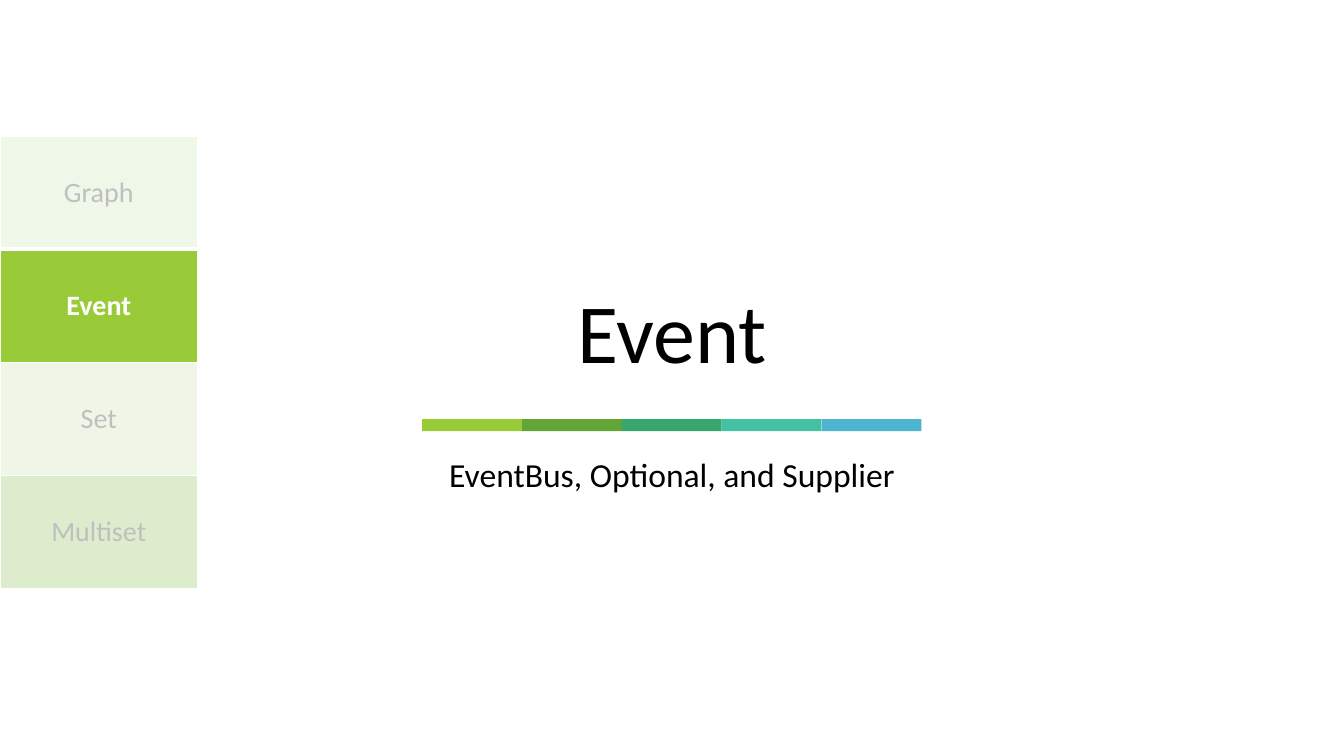
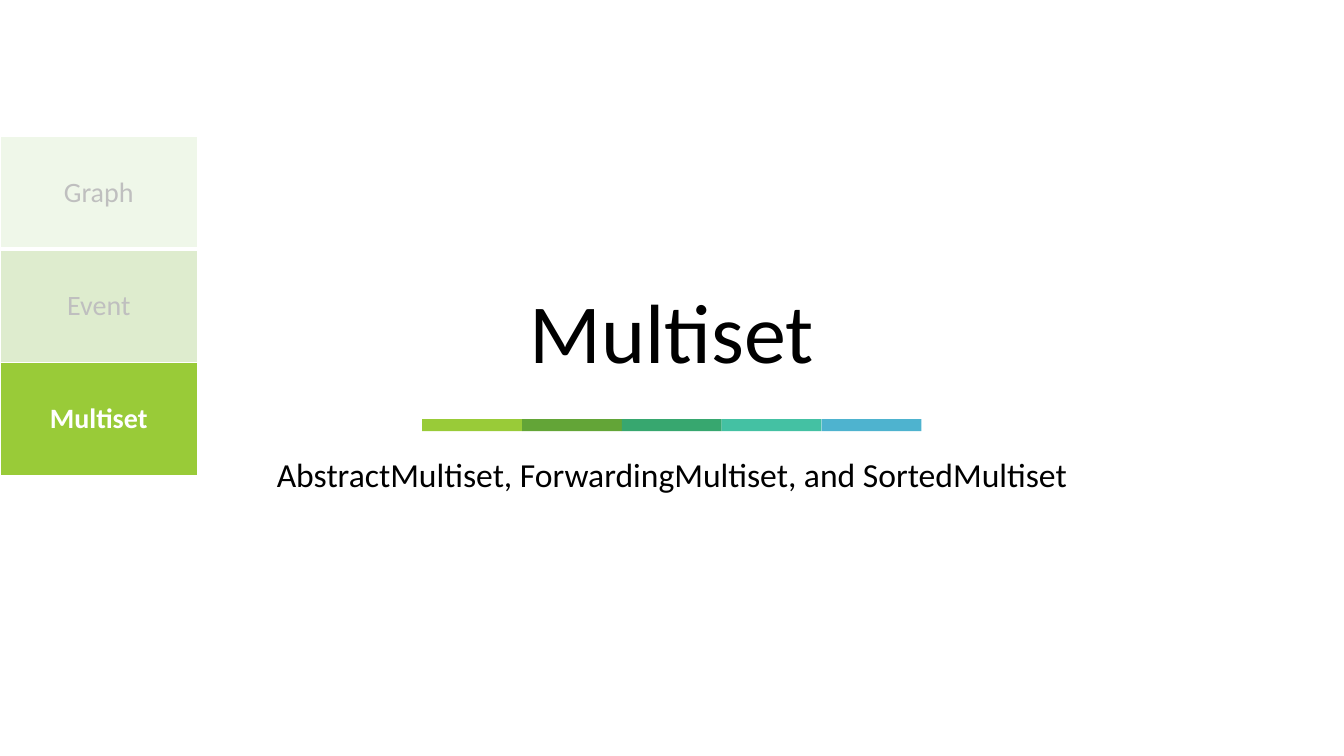
from lxml import etree
from pptx import Presentation
from pptx.dml.color import RGBColor
from pptx.enum.shapes import MSO_SHAPE
from pptx.enum.text import MSO_ANCHOR, PP_ALIGN
from pptx.oxml.ns import qn
from pptx.util import Pt

RECTANGLE = MSO_SHAPE.RECTANGLE
CENTER = PP_ALIGN.CENTER
TOP, MIDDLE, BOTTOM = MSO_ANCHOR.TOP, MSO_ANCHOR.MIDDLE, MSO_ANCHOR.BOTTOM

SECTIONS = [
    {"title": "Event",
     "subtitle": "EventBus, Optional, and Supplier",
     "topics": ["Graph", "Event", "Set", "Multiset"]},
    {"title": "Multiset",
     "subtitle": "AbstractMultiset, ForwardingMultiset, and SortedMultiset",
     "topics": ["Graph", "Event", "Multiset"]},
]

FONT = "Calibri"
COLORS = {
    "text": "000000",
    "white": "FFFFFF",
    "muted": "BFBFBF",
    "active": "99CB38",
    "first_row": "EFF7E9",
    "odd_row": "DEECCE",
    "even_row": "EFF6E8",
}
STRIPE_COLORS = ["99CB38", "63A537", "37A76F", "44C1A3", "4EB3CF"]

SLIDE_WIDTH, SLIDE_HEIGHT = 960, 540
TEXT_LEFT, TEXT_WIDTH = 120, 720
TITLE_TOP, TITLE_HEIGHT = 88.4, 188
SUBTITLE_TOP, SUBTITLE_HEIGHT = 320.6, 93.4
STRIPE_LEFT, STRIPE_TOP = 301.6, 299.4
STRIPE_WIDTH, STRIPE_HEIGHT = 71.3, 8.6
MENU_TOP, MENU_WIDTH, MENU_ROW = 97.2, 141.1, 80.8
THIN, THICK = 1, 3


def rgb(name):
    return RGBColor.from_string(COLORS[name])


def write(frame, text, size, color, anchor, bold=False):
    frame.word_wrap = True
    frame.vertical_anchor = anchor
    para = frame.paragraphs[0]
    para.alignment = CENTER
    span = para.add_run()
    span.text = text
    span.font.name = FONT
    span.font.size = Pt(size)
    span.font.bold = bold
    span.font.color.rgb = rgb(color)
    return para


def add_text(page, text, top, height, size, anchor):
    box = page.shapes.add_textbox(Pt(TEXT_LEFT), Pt(top), Pt(TEXT_WIDTH), Pt(height))
    return write(box.text_frame, text, size, "text", anchor)


def add_stripe(page):
    stripe = page.shapes.add_group_shape()
    for index, color in enumerate(STRIPE_COLORS):
        bar = stripe.shapes.add_shape(
            RECTANGLE, Pt(STRIPE_LEFT + index * STRIPE_WIDTH), Pt(STRIPE_TOP),
            Pt(STRIPE_WIDTH), Pt(STRIPE_HEIGHT))
        bar.shadow.inherit = False
        bar.fill.solid()
        bar.fill.fore_color.rgb = RGBColor.from_string(color)
        bar.line.fill.background()


def set_borders(cell, top, bottom):
    """Draw white cell borders; call before setting the cell's fill."""
    properties = cell._tc.get_or_add_tcPr()
    widths = {"a:lnL": THIN, "a:lnR": THIN, "a:lnT": top, "a:lnB": bottom}
    for tag, width in widths.items():
        line = etree.SubElement(properties, qn(tag), w=str(Pt(width)))
        fill = etree.SubElement(line, qn("a:solidFill"))
        etree.SubElement(fill, qn("a:srgbClr"), val=COLORS["white"])


def row_fill(index, active):
    if active:
        return "active"
    if index == 0:
        return "first_row"
    return "odd_row" if index % 2 else "even_row"


def add_menu(page, topics, current):
    table = page.shapes.add_table(
        len(topics), 1, 0, Pt(MENU_TOP), Pt(MENU_WIDTH),
        Pt(MENU_ROW * len(topics))).table
    table.first_row = table.horz_banding = False
    for index, topic in enumerate(topics):
        active = topic == current
        cell = table.cell(index, 0)
        set_borders(cell, top=THICK if index == 1 else THIN,
                    bottom=THICK if index == 0 else THIN)
        cell.fill.solid()
        cell.fill.fore_color.rgb = rgb(row_fill(index, active))
        cell.vertical_anchor = MIDDLE
        write(cell.text_frame, topic, 20, "white" if active else "muted",
              MIDDLE, active)


def add_section(deck, section):
    page = deck.slides.add_slide(deck.slide_layouts[6])
    title = add_text(page, section["title"], TITLE_TOP, TITLE_HEIGHT, 60, BOTTOM)
    title.line_spacing = 0.9
    add_text(page, section["subtitle"], SUBTITLE_TOP, SUBTITLE_HEIGHT, 24, TOP)
    add_stripe(page)
    add_menu(page, section["topics"], section["title"])


def main():
    deck = Presentation()
    deck.slide_width, deck.slide_height = Pt(SLIDE_WIDTH), Pt(SLIDE_HEIGHT)
    for section in SECTIONS:
        add_section(deck, section)
    deck.save("out.pptx")


if __name__ == "__main__":
    main()
